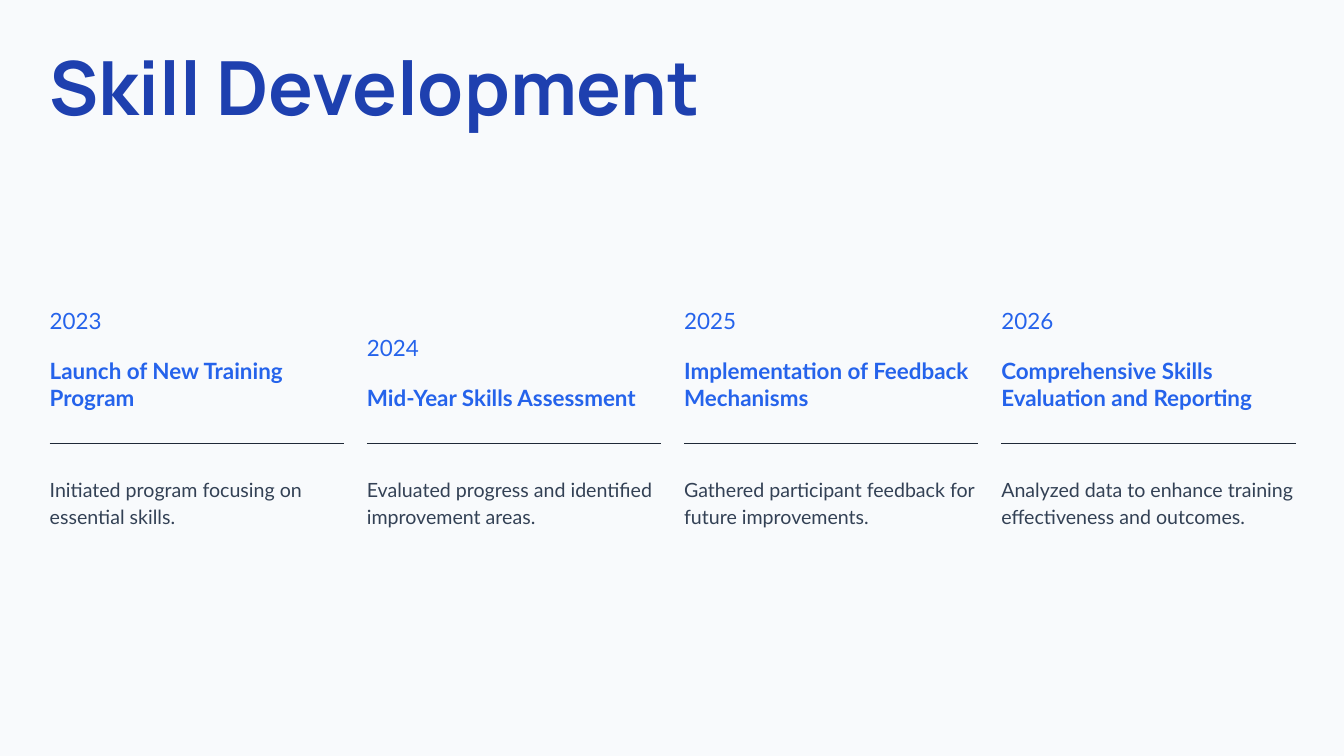
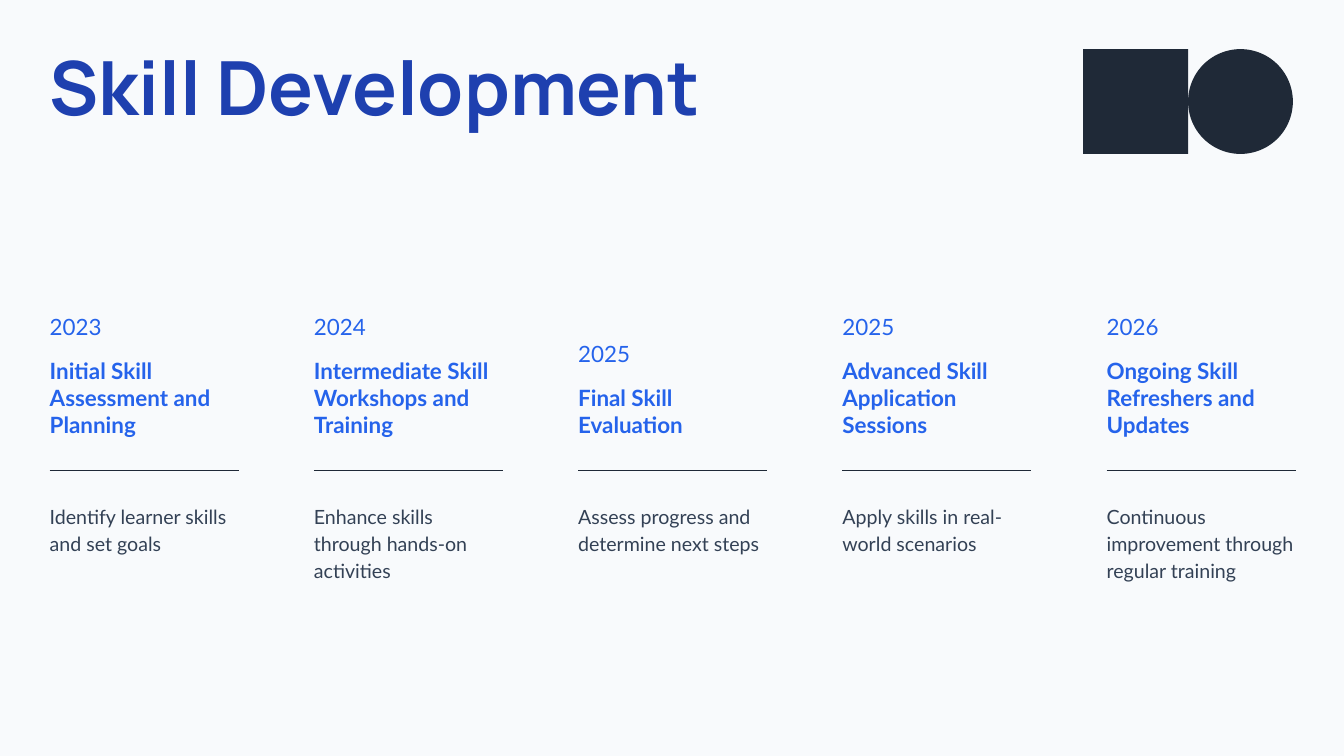
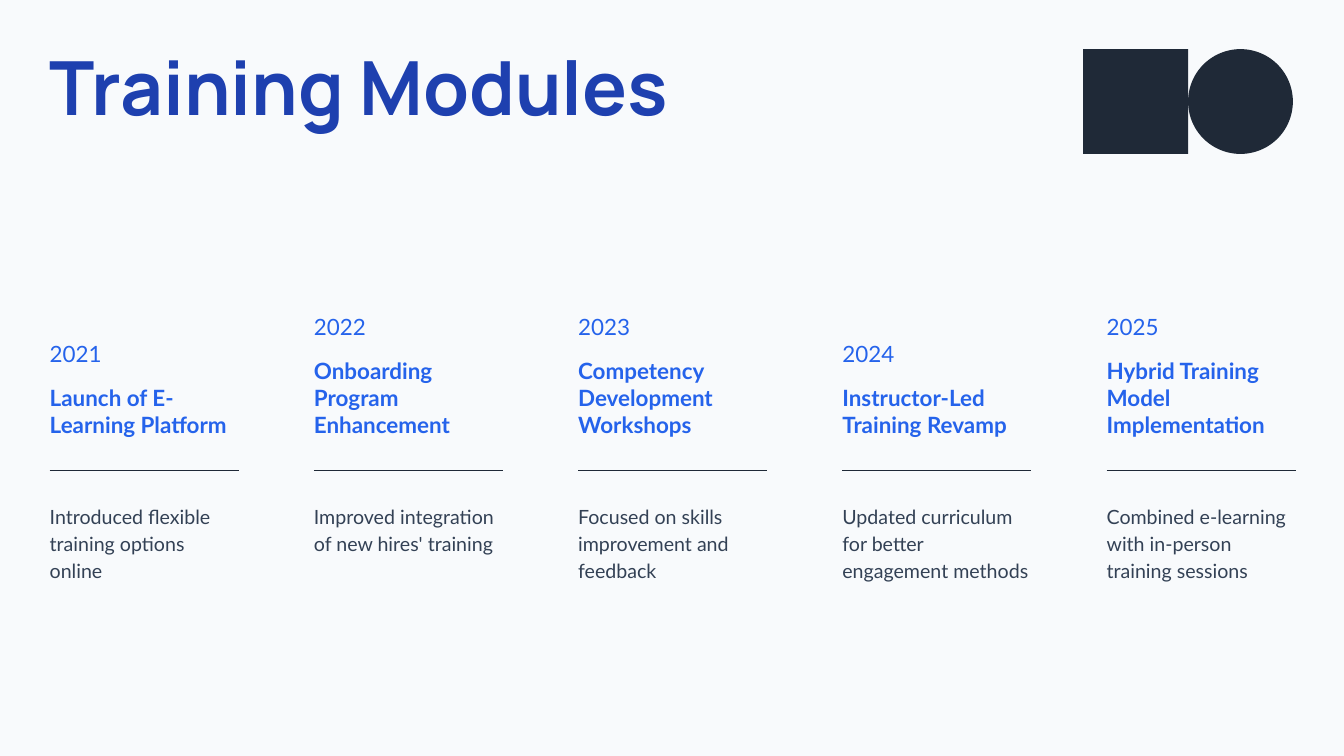
from dataclasses import dataclass
from typing import Any

from lxml import etree
from pptx import Presentation, util as u
from pptx.dml.color import RGBColor
from pptx.enum import shapes, text
from pptx.oxml.ns import qn


@dataclass(frozen=True)
class TextStyle:
    font: str
    size: float
    leading: float
    color: str
    bold: bool = False


@dataclass(frozen=True)
class Theme:
    background: str = "F8FAFC"
    ink: str = "1F2937"
    rule_weight: float = 1.5
    title: TextStyle = TextStyle("Manrope", 80, 88, "1E40AF", True)
    year: TextStyle = TextStyle("Lato", 24, 31.2, "2563EB")
    heading: TextStyle = TextStyle("Lato", 24, 28.8, "2563EB", True)
    detail: TextStyle = TextStyle("Lato", 21, 29.4, "334155")


@dataclass(frozen=True)
class Grid:
    """Columns fill the width between the margins; rows are one text line high."""
    width: float = 20
    height: float = 11.25
    row: float = 0.4
    margin_left: float = 0.037
    margin_right: float = 0.036

    def column(self, index: int, count: int, gap: float) -> tuple[float, float]:
        """Left edge and width of a column; gap is a share of the slide width."""
        share = (1 - self.margin_left - self.margin_right - gap * (count - 1)) / count
        left = self.margin_left + index * (share + gap)
        return left * self.width, share * self.width


@dataclass(frozen=True)
class Milestone:
    year: str
    heading: str
    heading_lines: int
    detail: str
    detail_lines: int


@dataclass(frozen=True)
class Timeline:
    title: str
    milestones: list[Milestone]
    rule_row: float = 17.5
    year_offset: float = 1.72
    gap: float = 0.056
    badge: bool = True


THEME = Theme()
GRID = Grid()

TIMELINES = [
    Timeline("Skill Development", [
        Milestone("2023", "Launch of New Training Program", 2,
                  "Initiated program focusing on essential skills.", 2),
        Milestone("2024", "Mid-Year Skills Assessment", 1,
                  "Evaluated progress and identified improvement areas.", 2),
        Milestone("2025", "Implementation of Feedback Mechanisms", 2,
                  "Gathered participant feedback for future improvements.", 2),
        Milestone("2026", "Comprehensive Skills Evaluation and Reporting", 2,
                  "Analyzed data to enhance training effectiveness and outcomes.", 2),
    ], rule_row=16.5, year_offset=1.95, gap=0.017, badge=False),
    Timeline("Skill Development", [
        Milestone("2023", "Initial Skill Assessment and Planning", 3,
                  "Identify learner skills and set goals", 2),
        Milestone("2024", "Intermediate Skill Workshops and Training", 3,
                  "Enhance skills through hands-on activities", 3),
        Milestone("2025", "Final Skill Evaluation", 2,
                  "Assess progress and determine next steps", 2),
        Milestone("2025", "Advanced Skill Application Sessions", 3,
                  "Apply skills in real-world scenarios", 2),
        Milestone("2026", "Ongoing Skill Refreshers and Updates", 3,
                  "Continuous improvement through regular training", 3),
    ]),
    Timeline("Training Modules", [
        Milestone("2021", "Launch of E-Learning Platform", 2,
                  "Introduced flexible training options online", 3),
        Milestone("2022", "Onboarding Program Enhancement", 3,
                  "Improved integration of new hires' training", 2),
        Milestone("2023", "Competency Development Workshops", 3,
                  "Focused on skills improvement and feedback", 3),
        Milestone("2024", "Instructor-Led Training Revamp", 2,
                  "Updated curriculum for better engagement methods", 4),
        Milestone("2025", "Hybrid Training Model Implementation", 3,
                  "Combined e-learning with in-person training sessions", 3),
    ]),
]


def add_text(parent: Any, words: str, *, left: float, row: float, width: float,
             rows: float, style: TextStyle) -> None:
    """Left and width are inches; row and rows count grid rows."""
    box = parent.add_textbox(u.Inches(left), u.Inches(row * GRID.row),
                             u.Inches(width), u.Inches(rows * GRID.row))
    frame = box.text_frame
    frame.word_wrap = True
    frame.auto_size = text.MSO_AUTO_SIZE.SHAPE_TO_FIT_TEXT
    frame.margin_left = frame.margin_top = frame.margin_right = frame.margin_bottom = 0
    para = frame.paragraphs[0]
    para.line_spacing = u.Pt(style.leading)
    span = para.add_run()
    span.text = words
    span.font.name = style.font
    span.font.size = u.Pt(style.size)
    span.font.bold = style.bold
    span.font.color.rgb = RGBColor.from_string(style.color)


def add_rule(page: Any, left: float, row: float, width: float) -> None:
    y = u.Inches(row * GRID.row)
    rule = page.shapes.add_connector(shapes.MSO_CONNECTOR.STRAIGHT,
                                     u.Inches(left), y, u.Inches(left + width), y)
    rule.line.color.rgb = RGBColor.from_string(THEME.ink)
    rule.line.width = u.Pt(THEME.rule_weight)
    etree.SubElement(rule._element.spPr, qn("a:effectLst"))


def add_badge(page: Any) -> None:
    group = page.shapes.add_group_shape().shapes
    side = 0.078 * GRID.width
    left, top = 0.806 * GRID.width, 0.065 * GRID.height
    for index, kind in enumerate((shapes.MSO_SHAPE.RECTANGLE, shapes.MSO_SHAPE.OVAL)):
        shape = group.add_shape(kind, u.Inches(left + index * side), u.Inches(top),
                                u.Inches(side), u.Inches(side))
        shape.shadow.inherit = False
        shape.fill.solid()
        shape.fill.fore_color.rgb = RGBColor.from_string(THEME.ink)
        shape.line.fill.background()


def add_milestone(page: Any, item: Milestone, timeline: Timeline, index: int) -> None:
    left, width = GRID.column(index, len(timeline.milestones), timeline.gap)
    rule_row = timeline.rule_row
    heading_row = rule_row - 1.2 - item.heading_lines
    add_text(page.shapes, item.detail, left=left, row=rule_row + 1.12, width=width,
             rows=item.detail_lines, style=THEME.detail)
    label = page.shapes.add_group_shape().shapes
    add_text(label, item.heading, left=left, row=heading_row, width=width,
             rows=item.heading_lines - 0.05, style=THEME.heading)
    add_text(label, item.year, left=left, row=heading_row - timeline.year_offset,
             width=width, rows=1.02, style=THEME.year)
    add_rule(page, left, rule_row, width)


def add_timeline(deck: Any, timeline: Timeline) -> None:
    page = deck.slides.add_slide(deck.slide_layouts[6])
    page.background.fill.solid()
    page.background.fill.fore_color.rgb = RGBColor.from_string(THEME.background)
    add_text(page.shapes, timeline.title, left=GRID.margin_left * GRID.width, row=1.8,
             width=0.691 * GRID.width, rows=3.35, style=THEME.title)
    for index, item in enumerate(timeline.milestones):
        add_milestone(page, item, timeline, index)
    if timeline.badge:
        add_badge(page)


def main() -> None:
    deck = Presentation()
    deck.slide_width = u.Inches(GRID.width)
    deck.slide_height = u.Inches(GRID.height)
    for timeline in TIMELINES:
        add_timeline(deck, timeline)
    deck.save("out.pptx")


if __name__ == "__main__":
    main()
